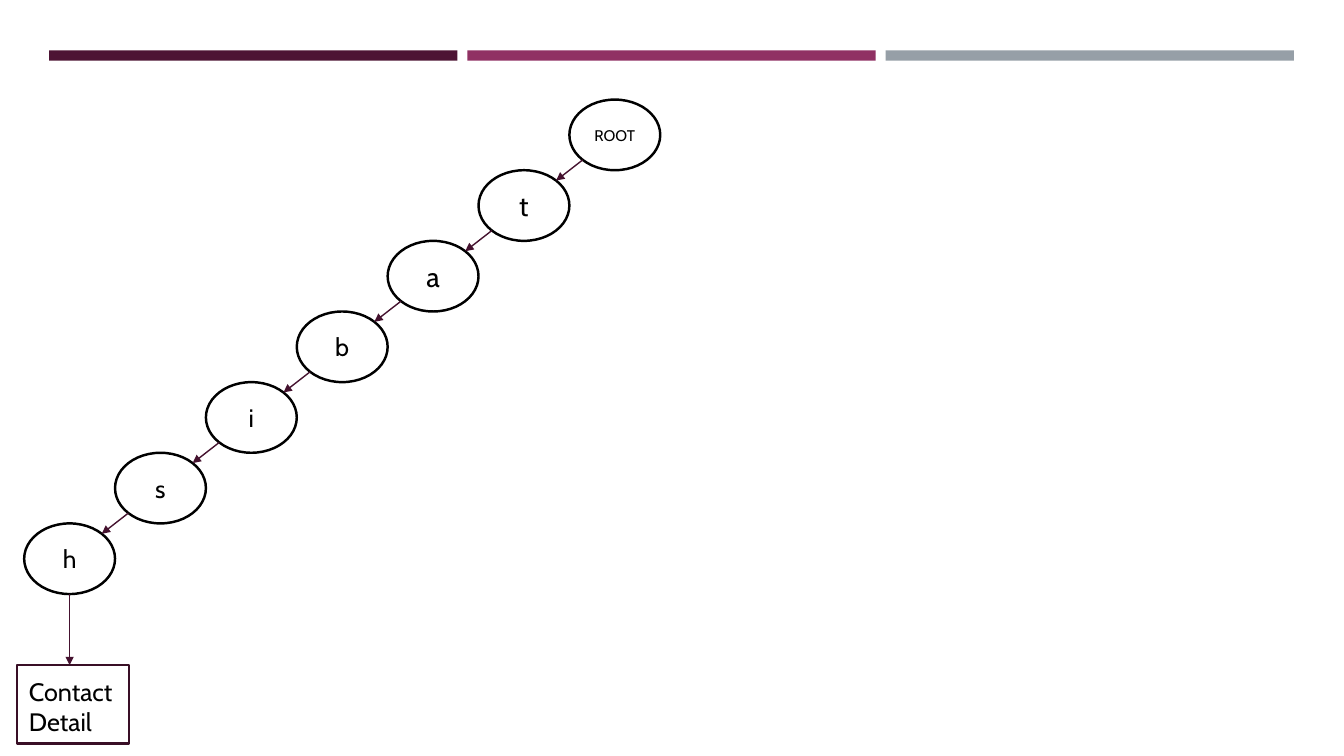
"""Build a slide with a trie chain that ends in a contact detail."""
import dataclasses
import math

import pptx
import pptx.dml.color
import pptx.enum.shapes
import pptx.enum.text
import pptx.oxml.ns
import pptx.shapes.autoshape
import pptx.slide
import pptx.text.text
import pptx.util
from lxml import etree

Cm = pptx.util.Cm
Pt = pptx.util.Pt
Kind = pptx.enum.shapes.MSO_SHAPE
Align = pptx.enum.text.PP_ALIGN

HUES = {
    "plum": "4D1434", "rose": "903163", "gray": "969FA7", "arrow": "45122F",
    "frame": "390F26", "white": "FFFFFF", "black": "000000",
}
FONT = "Cabin"
WIDE, HIGH = 2.29, 1.78
CORNER = (1 - math.sqrt(0.5)) / 2


@dataclasses.dataclass
class Box:
    left: float
    top: float
    width: float
    height: float

    def place(self) -> list[pptx.util.Length]:
        return [Cm(v) for v in (self.left, self.top, self.width, self.height)]

    def spot(self, across: float, down: float) -> tuple[float, float]:
        return self.left + across * self.width, self.top + down * self.height


@dataclasses.dataclass
class Node:
    label: str
    size: int
    box: Box


def hue(name: str) -> pptx.dml.color.RGBColor:
    return pptx.dml.color.RGBColor.from_string(HUES[name])


def draw(slide: pptx.slide.Slide, kind: Kind, box: Box, fill: str | None = None,
         edge: str | None = None) -> pptx.shapes.autoshape.Shape:
    shape = slide.shapes.add_shape(kind, *box.place())
    shape.shadow.inherit = False
    if fill:
        shape.fill.solid()
        shape.fill.fore_color.rgb = hue(fill)
    else:
        shape.fill.background()
    if edge:
        shape.line.color.rgb = hue(edge)
        shape.line.width = Pt(1.75)
    else:
        shape.line.fill.background()
    return shape


def write(frame: pptx.text.text.TextFrame, text: str, size: int, align: Align) -> None:
    frame.word_wrap = True
    par = frame.paragraphs[0]
    par.text = text
    par.alignment = align
    par.font.name = FONT
    par.font.size = Pt(size)
    par.font.color.rgb = hue("black")


def link(slide: pptx.slide.Slide, start: tuple[float, float], end: tuple[float, float]) -> None:
    line = slide.shapes.add_connector(
        pptx.enum.shapes.MSO_CONNECTOR.STRAIGHT, *(Cm(v) for v in start + end))
    line.line.color.rgb = hue("arrow")
    line.line.width = Pt(1)
    qn = pptx.oxml.ns.qn
    etree.SubElement(line.line._get_or_add_ln(), qn("a:tailEnd"), type="triangle")
    etree.SubElement(line._element.spPr, qn("a:effectLst"))


def main() -> None:
    deck = pptx.Presentation()
    deck.slide_width, deck.slide_height = Cm(33.87), Cm(19.05)
    slide = deck.slides.add_slide(deck.slide_layouts[6])

    for i, name in enumerate(("plum", "rose", "gray")):
        draw(slide, Kind.RECTANGLE, Box(1.24 + i * 10.54, 1.27, 10.29, 0.26), name)

    labels = [("ROOT", 11), ("t", 20), ("a", 20), ("b", 18), ("i", 18), ("s", 18), ("h", 18)]
    nodes = [Node(label, size, Box(14.35 - i * WIDE, 2.51 + i * HIGH, WIDE, HIGH))
             for i, (label, size) in enumerate(labels)]
    for node in nodes:
        oval = draw(slide, Kind.OVAL, node.box, "white", "black")
        oval.text_frame.vertical_anchor = pptx.enum.text.MSO_ANCHOR.MIDDLE
        write(oval.text_frame, node.label, node.size, Align.CENTER)
    for node, child in zip(nodes, nodes[1:]):
        link(slide, node.box.spot(CORNER, 1 - CORNER), child.box.spot(1 - CORNER, CORNER))

    frame = Box(0.43, 16.76, 2.82, 1.98)
    foot = nodes[-1].box.spot(0.5, 1)
    link(slide, foot, (foot[0], frame.top))
    draw(slide, Kind.RECTANGLE, frame, edge="frame")
    note = slide.shapes.add_textbox(*Box(0.48, 16.92, 2.79, 1.8).place())
    write(note.text_frame, "Contact Detail", 18, Align.LEFT)

    deck.save("out.pptx")


main()
